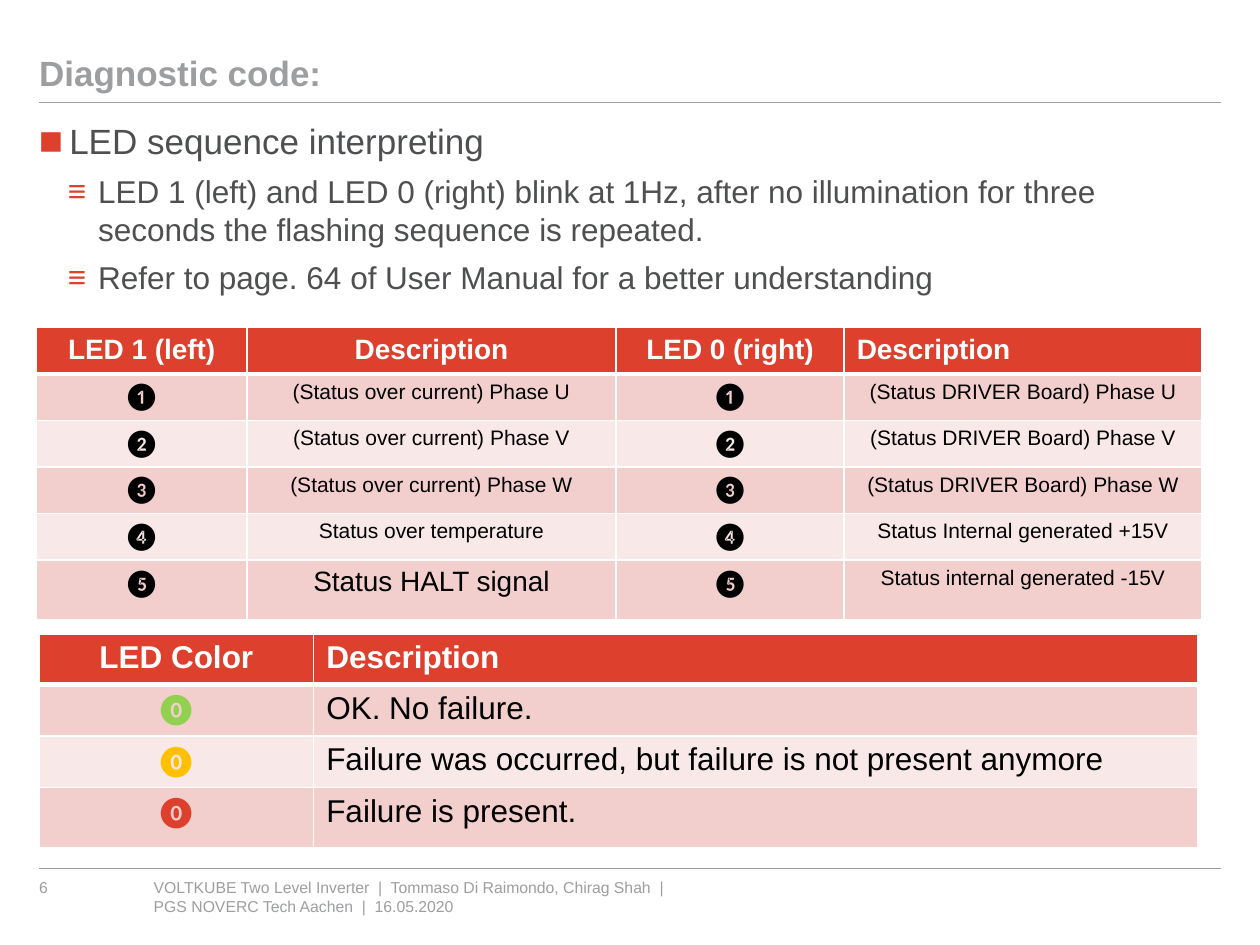
from lxml.etree import SubElement
from pptx import Presentation
from pptx.dml.color import RGBColor
from pptx.enum.shapes import MSO_CONNECTOR
from pptx.enum.text import MSO_ANCHOR, PP_ALIGN
from pptx.oxml.ns import qn
from pptx.util import Inches, Pt

RED, WHITE, BLACK, GRAY, DARK = "DD402D", "FFFFFF", "000000", "9D9EA0", "4E4F50"
BANDS = ("F2CFCD", "F9E8E8")
CENTER, LEFT = PP_ALIGN.CENTER, PP_ALIGN.LEFT


def color(value):
    return RGBColor.from_string(value)


def apply(target, values):
    for name, value in values.items():
        setattr(target, name, value)


def write(paragraph, text, size, tint, name="Arial", bold=False, **layout):
    run = paragraph.add_run()
    run.text = text
    apply(run.font, {"size": Pt(size), "name": name, "bold": bold})
    run.font.color.rgb = color(tint)
    apply(paragraph, layout)


def add_text_frame(slide, box, anchor=MSO_ANCHOR.TOP):
    frame = slide.shapes.add_textbox(*map(Inches, box)).text_frame
    apply(frame, {
        "word_wrap": True, "vertical_anchor": anchor,
        "margin_left": 0, "margin_top": 0, "margin_right": 0, "margin_bottom": 0,
    })
    return frame


def add_lines(frame, lines, *style, **layout):
    for index, text in enumerate(lines):
        paragraph = frame.add_paragraph() if index else frame.paragraphs[0]
        write(paragraph, text, *style, **layout)


def add_rule(slide, left, top, width):
    rule = slide.shapes.add_connector(
        MSO_CONNECTOR.STRAIGHT, *map(Inches, (left, top, left + width, top)))
    rule.line.color.rgb = color(GRAY)
    rule.line.width = Pt(0.5)
    SubElement(rule._element.spPr, qn("a:effectLst"))


def add_title(slide, box):
    left, top, width, height = box
    frame = add_text_frame(slide, box, MSO_ANCHOR.BOTTOM)
    write(frame.paragraphs[0], "Diagnostic code:", 20, GRAY, bold=True, line_spacing=0.9)
    add_rule(slide, left, top + height + 0.06, width)


def set_bullet(paragraph, symbol, level, percent):
    properties = paragraph._p.get_or_add_pPr()
    properties.set("marL", str(Inches((0.24, 0.47)[level])))
    properties.set("indent", str(Inches(-0.24)))
    tint = SubElement(properties, qn("a:buClr"))
    SubElement(tint, qn("a:srgbClr"), val=RED)
    SubElement(properties, qn("a:buSzPct"), val=str(percent * 1000))
    SubElement(properties, qn("a:buFont"), typeface="Arial")
    SubElement(properties, qn("a:buChar"), char=symbol)


def add_body(slide, box):
    frame = add_text_frame(slide, box)
    items = [
        ("LED sequence interpreting", 0),
        ("LED 1 (left) and LED 0 (right) blink at 1Hz, after no illumination "
         "for three seconds the flashing sequence is repeated.", 1),
        ("Refer to page. 64 of User Manual for a better understanding", 1),
    ]
    styles = [("■", 20, 115), ("≡", 18, 100)]
    for index, (text, level) in enumerate(items):
        symbol, size, percent = styles[level]
        paragraph = frame.add_paragraph() if index else frame.paragraphs[0]
        write(paragraph, text, size, DARK, level=level, space_before=Pt(6))
        set_bullet(paragraph, symbol, level, percent)


def style_cell(cell, fill, bottom):
    properties = cell._tc.get_or_add_tcPr()
    for side, width in (("L", 1), ("R", 1), ("T", 1), ("B", bottom)):
        border = SubElement(properties, qn(f"a:ln{side}"), w=str(Pt(width)))
        SubElement(SubElement(border, qn("a:solidFill")), qn("a:srgbClr"), val=WHITE)
    cell.fill.solid()
    cell.fill.fore_color.rgb = color(fill)


def add_grid(slide, box, columns, heights, headers, header_size, rows):
    table = slide.shapes.add_table(
        len(heights), len(columns), *map(Inches, box)).table
    for column, width in zip(table.columns, columns):
        column.width = Inches(width)
    for row, height in zip(table.rows, heights):
        row.height = Inches(height)
    last = len(columns) - 1
    for index, text in enumerate(headers):
        cell = table.cell(0, index)
        style_cell(cell, RED, 3)
        write(cell.text_frame.paragraphs[0], text, header_size, WHITE, bold=True,
              alignment=LEFT if index == last else CENTER)
    for row_index, row in enumerate(rows, 1):
        for index, (text, size, tint, name, alignment) in enumerate(row):
            cell = table.cell(row_index, index)
            style_cell(cell, BANDS[(row_index - 1) % 2], 1)
            write(cell.text_frame.paragraphs[0], text, size, tint, name,
                  alignment=alignment)


def add_sequence_table(slide, box):
    statuses = [
        ("❶", "(Status over current) Phase U", "(Status DRIVER Board) Phase U"),
        ("❷", "(Status over current) Phase V", "(Status DRIVER Board) Phase V"),
        ("❸", "(Status over current) Phase W", "(Status DRIVER Board) Phase W"),
        ("❹", "Status over temperature", "Status Internal generated +15V"),
        ("❺", "Status HALT signal", "Status internal generated -15V"),
    ]
    rows = []
    for digit, left_text, right_text in statuses:
        marker = (digit, 16, BLACK, "Calibri", CENTER)
        left_size = 16 if digit == "❺" else 12
        rows.append([
            marker, (left_text, left_size, BLACK, "Arial", CENTER),
            marker, (right_text, 12, BLACK, "Arial", CENTER),
        ])
    add_grid(slide, box, (1.67, 2.93, 1.81, 2.84), (0.32, *[0.37] * 4, 0.47),
             ("LED 1 (left)", "Description", "LED 0 (right)", "Description"), 16, rows)


def add_color_table(slide, box):
    meanings = [
        ("92D050", "OK. No failure."),
        ("FFC000", "Failure was occurred, but failure is not present anymore"),
        (RED, "Failure is present."),
    ]
    rows = [[("⓿", 18, tint, "Calibri", CENTER), (text, 18, BLACK, "Arial", LEFT)]
            for tint, text in meanings]
    add_grid(slide, box, (2.18, 7.02), (0.36, 0.41, 0.41, 0.48),
             ("LED Color", "Description"), 18, rows)


def add_footer(slide, box):
    left, top, width, height = box
    add_rule(slide, left, top, width)
    add_lines(add_text_frame(slide, (left, top + 0.08, 0.72, 0.15)), ["6"], 9, GRAY)
    frame = add_text_frame(slide, (left + 0.91, top + 0.08, 4.12, height - 0.08))
    add_lines(frame, [
        "VOLTKUBE Two Level Inverter  |  Tommaso Di Raimondo, Chirag Shah  |",
        "PGS NOVERC Tech Aachen  |  16.05.2020",
    ], 9, GRAY)


def main():
    presentation = Presentation()
    apply(presentation, {"slide_width": Inches(10), "slide_height": Inches(7.5)})
    slide = presentation.slides.add_slide(presentation.slide_layouts[6])
    add_title(slide, (0.31, 0.16, 9.38, 0.59))
    add_body(slide, (0.31, 0.95, 9.2, 1.51))
    add_sequence_table(slide, (0.29, 2.6, 9.25, 2.27))
    add_color_table(slide, (0.31, 5.03, 9.2, 1.66))
    add_footer(slide, (0.31, 6.89, 9.38, 0.55))
    presentation.save("out.pptx")


if __name__ == "__main__":
    main()
